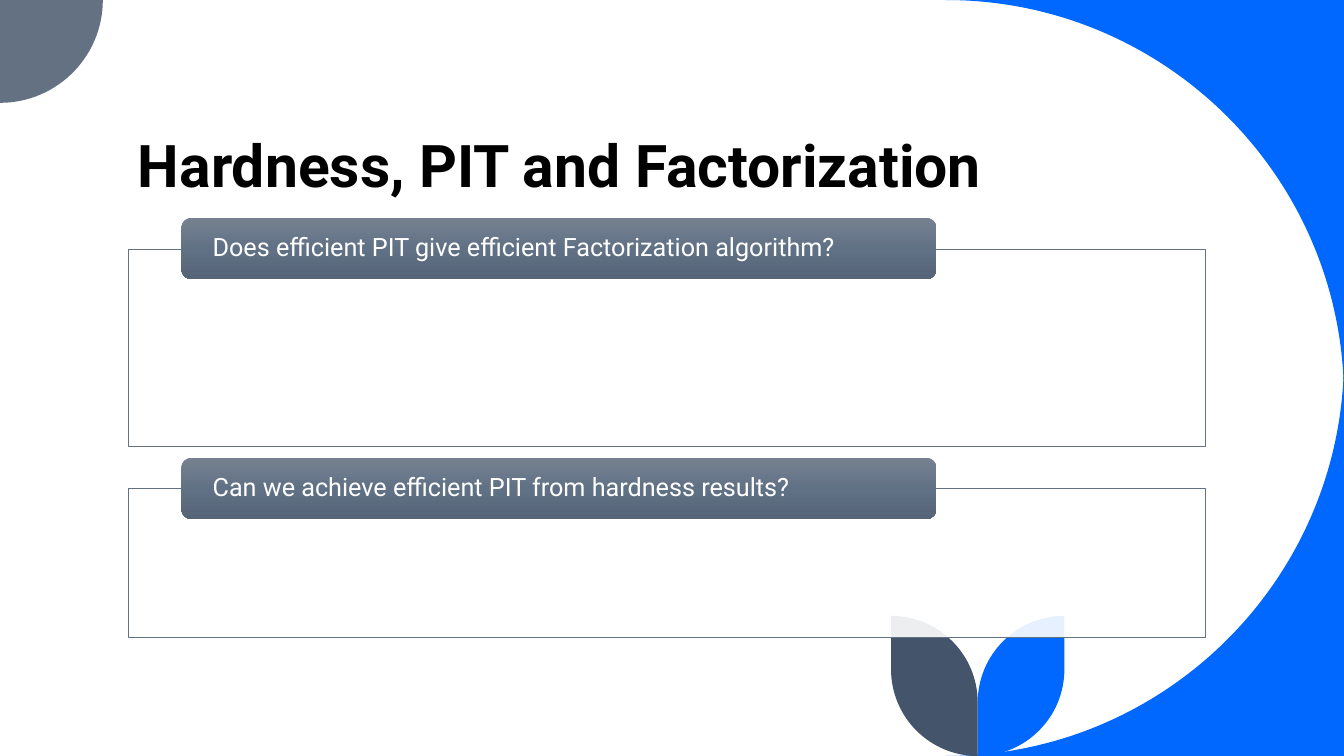
from copy import deepcopy
from dataclasses import dataclass
from math import cos, radians, sin, tan

from lxml import etree
from pptx import Presentation
from pptx.dml.color import RGBColor
from pptx.enum.shapes import MSO_SHAPE
from pptx.enum.text import MSO_ANCHOR, PP_ALIGN
from pptx.oxml.ns import qn
from pptx.shapes.autoshape import Shape
from pptx.slide import Slide
from pptx.text.text import TextFrame
from pptx.util import Inches, Pt

RECTANGLE = MSO_SHAPE.RECTANGLE
ROUNDED = MSO_SHAPE.ROUNDED_RECTANGLE
BOTTOM = MSO_ANCHOR.BOTTOM
MIDDLE = MSO_ANCHOR.MIDDLE
LEFT = PP_ALIGN.LEFT


@dataclass(frozen=True)
class Theme:
    font: str = "Roboto"
    title_size: float = 42
    question_size: float = 18
    frame_line: float = 0.5
    black: str = "000000"
    white: str = "FFFFFF"
    blue: str = "0068FF"
    slate: str = "637183"
    navy: str = "44546A"
    banner: tuple[str, ...] = ("768291", "617185", "556477")
    frame_alpha: int = 90


@dataclass(frozen=True)
class Arc:
    x: float
    y: float
    radius: float
    start: float
    end: float


@dataclass(frozen=True)
class Ornament:
    color: str
    arcs: tuple[Arc, ...]
    corner: tuple[float, float] | None = None


@dataclass(frozen=True)
class Question:
    text: str
    frame_top: float
    frame_height: float


THEME = Theme()
WIDTH, HEIGHT = 40 / 3, 7.5
MARGIN, CONTENT_WIDTH = 1.27, 10.69
BANNER_LEFT, BANNER_WIDTH, BANNER_HEIGHT = 1.8, 7.49, 0.61
BANNER_RISE = 0.31
SWEEP = 3.95
LEAF = 0.86
STEM = 9.7

ORNAMENTS = (
    Ornament(THEME.blue, (Arc(WIDTH - SWEEP, SWEEP, SWEEP, -90, 0),), (WIDTH, 0)),
    Ornament(THEME.blue, (Arc(WIDTH - SWEEP, HEIGHT - SWEEP, SWEEP, 0, 90),), (WIDTH, HEIGHT)),
    Ornament(THEME.slate, (Arc(0, 0, 1.02, 0, 90),), (0, 0)),
    Ornament(THEME.blue, (Arc(STEM, HEIGHT - LEAF, LEAF, 0, 90),
                          Arc(STEM + LEAF, 6.97, LEAF, 180, 270))),
    Ornament(THEME.navy, (Arc(STEM, HEIGHT - LEAF, LEAF, 180, 90),
                          Arc(STEM - LEAF, 6.97, LEAF, 0, -90))),
)
QUESTIONS = (
    Question("Does efficient PIT give efficient Factorization algorithm?", 2.47, 1.96),
    Question("Can we achieve efficient PIT from hardness results?", 4.85, 1.47),
)


def rgb(color: str) -> RGBColor:
    return RGBColor.from_string(color)


def bezier_points(arc: Arc) -> list[tuple[int, int]]:
    start, end = radians(arc.start), radians(arc.end)
    pull = 4 / 3 * tan((end - start) / 4)
    offsets = (
        (cos(start), sin(start)),
        (cos(start) - pull * sin(start), sin(start) + pull * cos(start)),
        (cos(end) + pull * sin(end), sin(end) - pull * cos(end)),
        (cos(end), sin(end)),
    )
    return [(Inches(arc.x + arc.radius * dx), Inches(arc.y + arc.radius * dy))
            for dx, dy in offsets]


def bend(outline: Shape, arc_count: int) -> None:
    track = next(outline._element.spPr.iter(qn("a:path")))
    steps = list(track)
    for i in range(arc_count):
        handles = steps[4 * i + 1:4 * i + 4]
        curve = etree.Element(qn("a:cubicBezTo"))
        handles[0].addprevious(curve)
        for handle in handles:
            curve.append(handle[0])
            track.remove(handle)


def draw_ornament(slide: Slide, ornament: Ornament) -> None:
    points = [point for arc in ornament.arcs for point in bezier_points(arc)]
    if ornament.corner:
        x, y = ornament.corner
        points.append((Inches(x), Inches(y)))
    builder = slide.shapes.build_freeform(*points[0])
    builder.add_line_segments(points[1:], close=True)
    outline = builder.convert_to_shape()
    bend(outline, len(ornament.arcs))
    outline.shadow.inherit = False
    outline.fill.solid()
    outline.fill.fore_color.rgb = rgb(ornament.color)
    outline.line.fill.background()


def write(frame: TextFrame, text: str, size: float, color: str,
          spacing: float, bold: bool = False) -> None:
    frame.word_wrap = True
    paragraph = frame.paragraphs[0]
    paragraph.alignment = LEFT
    paragraph.line_spacing = spacing
    run = paragraph.add_run()
    run.text = text
    run.font.name = THEME.font
    run.font.size = Pt(size)
    run.font.bold = bold
    run.font.color.rgb = rgb(color)


def fill_gradient(banner: Shape) -> None:
    banner.fill.gradient()
    banner.fill.gradient_angle = 270
    stop_list = next(banner._element.spPr.iter(qn("a:gsLst")))
    stop_list.insert(1, deepcopy(stop_list[0]))
    last = len(THEME.banner) - 1
    for i, (stop, color) in enumerate(zip(banner.fill.gradient_stops, THEME.banner)):
        stop.position = i / last
        stop.color.rgb = rgb(color)


def draw_question(slide: Slide, question: Question) -> None:
    frame = slide.shapes.add_shape(
        RECTANGLE, Inches(MARGIN), Inches(question.frame_top),
        Inches(CONTENT_WIDTH), Inches(question.frame_height))
    frame.shadow.inherit = False
    frame.fill.solid()
    frame.fill.fore_color.rgb = rgb(THEME.white)
    fill_color = next(frame._element.spPr.iter(qn("a:srgbClr")))
    etree.SubElement(fill_color, qn("a:alpha"), val=str(THEME.frame_alpha * 1000))
    frame.line.color.rgb = rgb(THEME.slate)
    frame.line.width = Pt(THEME.frame_line)

    banner = slide.shapes.add_shape(
        ROUNDED, Inches(BANNER_LEFT), Inches(question.frame_top - BANNER_RISE),
        Inches(BANNER_WIDTH), Inches(BANNER_HEIGHT))
    banner.shadow.inherit = False
    fill_gradient(banner)
    banner.line.fill.background()
    label = banner.text_frame
    label.margin_left = label.margin_right = Inches(0.28)
    label.margin_top = label.margin_bottom = 0
    label.vertical_anchor = MIDDLE
    write(label, question.text, THEME.question_size, THEME.white, 0.9)


def draw_title(slide: Slide) -> None:
    title = slide.shapes.add_textbox(
        Inches(MARGIN), Inches(0.11), Inches(CONTENT_WIDTH), Inches(1.91)).text_frame
    title.vertical_anchor = BOTTOM
    write(title, "Hardness, PIT and Factorization", THEME.title_size, THEME.black, 0.8, True)


def main() -> None:
    deck = Presentation()
    deck.slide_width, deck.slide_height = Inches(WIDTH), Inches(HEIGHT)
    slide = deck.slides.add_slide(deck.slide_layouts[6])
    for ornament in ORNAMENTS:
        draw_ornament(slide, ornament)
    draw_title(slide)
    for question in QUESTIONS:
        draw_question(slide, question)
    deck.save("out.pptx")


if __name__ == "__main__":
    main()
